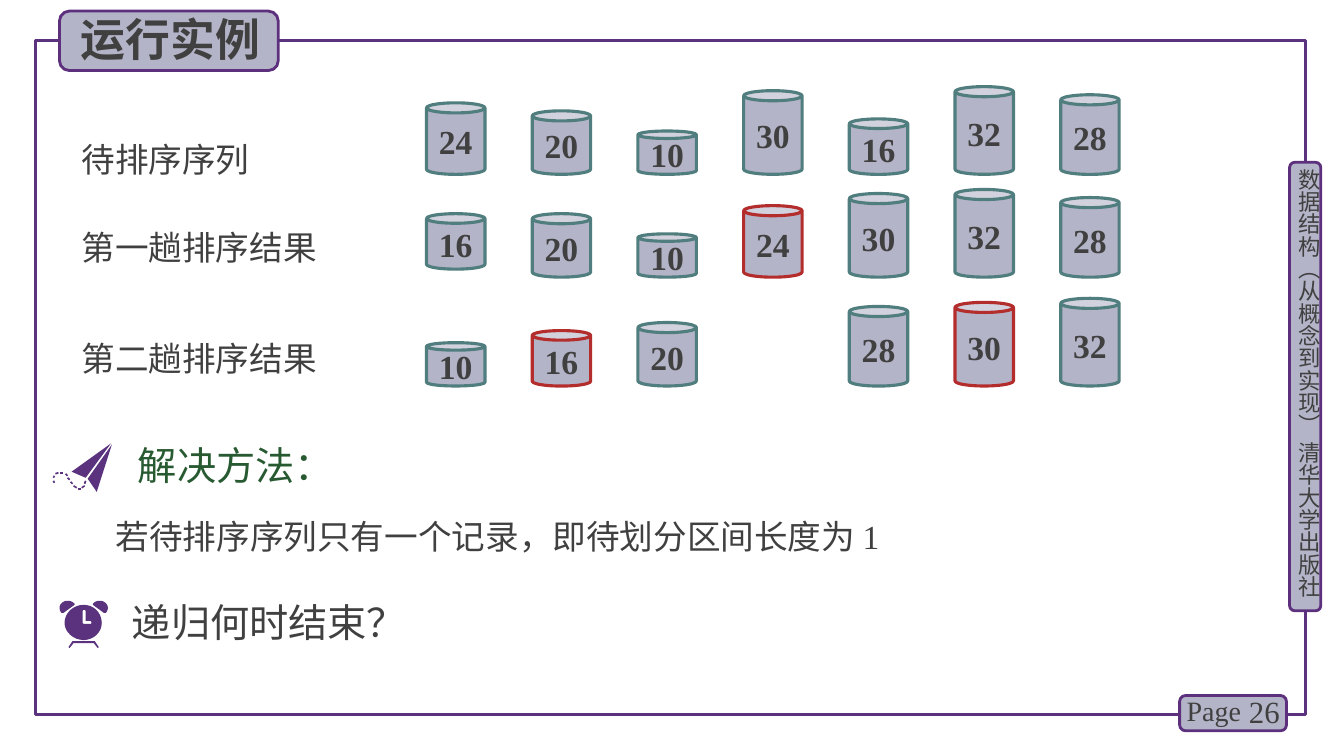
from dataclasses import dataclass
from math import hypot

from lxml.etree import SubElement
from pptx import Presentation
from pptx.dml.color import RGBColor
from pptx.enum.shapes import MSO_SHAPE
from pptx.enum.text import MSO_ANCHOR, MSO_AUTO_SIZE, PP_ALIGN
from pptx.oxml.ns import qn
from pptx.util import Inches, Pt

PURPLE = RGBColor(0x5A, 0x32, 0x7D)
BADGE_EDGE = RGBColor(0x5C, 0x30, 0x7D)
LILAC = RGBColor(0xB4, 0xB4, 0xC8)
TEAL = RGBColor(0x50, 0x7D, 0x7D)
RED = RGBColor(0xB4, 0x2D, 0x2D)
GREEN = RGBColor(0x28, 0x5A, 0x32)
GRAY = RGBColor(0x40, 0x40, 0x40)
SANS = "Noto Sans CJK SC"
SERIF = "Times New Roman"

CAN_LEFT, CAN_WIDTH = 4.23, 0.58
CAN_PITCH = (10.52 - CAN_LEFT) / 6


@dataclass(frozen=True)
class Can:
    column: int
    value: int
    pivot: bool = False
    lift: float = 0


@dataclass(frozen=True)
class SortRow:
    label: str
    label_top: float
    font: str
    base: float
    cans: tuple[Can, ...]


@dataclass(frozen=True)
class Label:
    text: str
    at: tuple[float, float, float, float]
    size: int
    font: str = SANS
    color: RGBColor = GRAY


SORT_ROWS = (
    SortRow("待排序序列", 1.33, SERIF, 1.73,
            tuple(Can(i, v) for i, v in enumerate((24, 20, 10, 30, 16, 32, 28)))),
    SortRow("第一趟排序结果", 2.2, SANS, 2.75,
            (Can(0, 16, lift=0.08), Can(1, 20), Can(2, 10), Can(3, 24, pivot=True),
             Can(4, 30), Can(5, 32), Can(6, 28))),
    SortRow("第二趟排序结果", 3.3, SANS, 3.83,
            (Can(0, 10), Can(1, 16, pivot=True), Can(2, 20),
             Can(4, 28), Can(5, 30, pivot=True), Can(6, 32))),
)
BADGES = ((12.79, 1.61, 0.31, 4.45), (11.7, 6.9, 1.06, 0.35), (0.59, 0.11, 2.17, 0.59))
LABELS = (
    Label("Page", (11.67, 6.83, 0.78, 0.44), 20, SERIF),
    Label("递归何时结束？", (1.21, 5.89, 11.07, 0.57), 28),
    Label("解决方法：", (1.27, 4.33, 2.17, 0.57), 28, color=GREEN),
)

# Outlines in inches: a pair is a corner, six numbers are a cubic curve
BELL = ((0.67, 5.96), (0.63, 5.96, 0.59, 5.99, 0.59, 6.03),
        (0.59, 6.05, 0.6, 6.07, 0.61, 6.08), (0.63, 6.08), (0.74, 6), (0.74, 5.99),
        (0.72, 5.97, 0.7, 5.96, 0.67, 5.96))
CLOCK_FACE = ((0.83, 6), (0.73, 6, 0.64, 6.08, 0.64, 6.18),
              (0.64, 6.27, 0.73, 6.35, 0.83, 6.35), (0.93, 6.35, 1.01, 6.27, 1.01, 6.18),
              (1.01, 6.08, 0.93, 6, 0.83, 6))
CLOCK_HANDS = ((0.9, 6.19), (0.83, 6.19), (0.82, 6.18), (0.82, 6.06), (0.83, 6.05),
               (0.84, 6.05), (0.85, 6.06), (0.85, 6.16), (0.9, 6.16), (0.91, 6.18))
CLOCK_STAND = ((0.68, 6.42), (0.72, 6.36), (0.94, 6.36), (0.98, 6.42),
               (0.97, 6.43), (0.93, 6.38), (0.73, 6.38), (0.69, 6.43))
PLANE_WINGS = (((1.11, 4.41), (0.96, 4.88), (0.87, 4.75)),
               ((1.1, 4.4), (0.85, 4.74), (0.71, 4.68)))
TRAIL_DASHES = (
    (0.84, 4.8, 0.85, 4.77), (0.81, 4.84, 0.84, 4.82), (0.77, 4.85, 0.8, 4.85),
    (0.73, 4.82, 0.76, 4.84), (0.7, 4.78, 0.72, 4.8), (0.67, 4.74, 0.69, 4.76),
    (0.65, 4.7, 0.67, 4.72), (0.6, 4.69, 0.63, 4.69), (0.55, 4.7, 0.58, 4.69),
    (0.53, 4.77, 0.54, 4.79), (0.53, 4.74, 0.54, 4.72),
)


def write(shape, text: str, *, size: int, font: str = SANS, color: RGBColor = GRAY,
          bold: bool = False, align=PP_ALIGN.LEFT, anchor=MSO_ANCHOR.TOP,
          wrap: bool = True, spacing=None) -> None:
    frame = shape.text_frame
    frame.auto_size = MSO_AUTO_SIZE.NONE
    frame.word_wrap = wrap
    frame.vertical_anchor = anchor
    para = frame.paragraphs[0]
    para.alignment = align
    if spacing:
        para.line_spacing = spacing
    span = para.add_run()
    span.text = text
    span.font.size = Pt(size)
    span.font.name = font
    span.font.bold = bold
    span.font.color.rgb = color
    east_asian = SubElement(span.font._element, qn("a:ea"))
    east_asian.set("typeface", SANS)


def add_text(page, text: str, at, **style):
    box = page.shapes.add_textbox(*map(Inches, at))
    write(box, text, **style)
    return box


def add_preset(page, kind, at, *, edge: RGBColor, weight: float, fill=LILAC):
    shape = page.shapes.add_shape(kind, *map(Inches, at))
    shape.shadow.inherit = False
    if fill is None:
        shape.fill.background()
    else:
        shape.fill.solid()
        shape.fill.fore_color.rgb = fill
    shape.line.color.rgb = edge
    shape.line.width = Pt(weight)
    return shape


def add_can(page, can: Can, base: float) -> None:
    height = 0.23 + 0.02 * can.value
    at = (CAN_LEFT + can.column * CAN_PITCH, base - can.lift - height, CAN_WIDTH, height)
    shape = add_preset(page, MSO_SHAPE.CAN, at, edge=RED if can.pivot else TEAL, weight=2.25)
    shape.adjustments[0] = 0.173
    write(shape, str(can.value), size=24, font=SERIF, bold=True,
          align=PP_ALIGN.CENTER, anchor=MSO_ANCHOR.MIDDLE, wrap=False)


def trace(outline, steps: int = 8) -> list[tuple[float, float]]:
    """Turn corners and curves into points in thousandths of an inch."""
    points = []
    for part in outline:
        if len(part) == 2:
            points.append(part)
            continue
        x0, y0 = points[-1]
        x1, y1, x2, y2, x3, y3 = part
        for step in range(1, steps + 1):
            t = step / steps
            a, b, c, d = (1 - t) ** 3, 3 * t * (1 - t) ** 2, 3 * t * t * (1 - t), t ** 3
            points.append((a * x0 + b * x1 + c * x2 + d * x3,
                           a * y0 + b * y1 + c * y2 + d * y3))
    return [(x * 1000, y * 1000) for x, y in points]


def add_outline(page, *outlines) -> None:
    first, *holes = map(trace, outlines)
    builder = page.shapes.build_freeform(*first[0], scale=Inches(1) / 1000)
    builder.add_line_segments(first[1:], close=True)
    for hole in holes:
        builder.move_to(*hole[0])
        builder.add_line_segments(hole[1:], close=True)
    shape = builder.convert_to_shape()
    shape.shadow.inherit = False
    shape.fill.solid()
    shape.fill.fore_color.rgb = PURPLE
    shape.line.fill.background()


def add_dash(page, x1: float, y1: float, x2: float, y2: float) -> None:
    length = hypot(x2 - x1, y2 - y1)
    dx, dy = 0.008 * (y1 - y2) / length, 0.008 * (x2 - x1) / length
    add_outline(page, ((x1 + dx, y1 + dy), (x2 + dx, y2 + dy),
                       (x2 - dx, y2 - dy), (x1 - dx, y1 - dy)))


def main() -> None:
    deck = Presentation()
    deck.slide_width, deck.slide_height = Inches(13.33), Inches(7.5)
    page = deck.slides.add_slide(deck.slide_layouts[5])

    # Frame and badges
    add_preset(page, MSO_SHAPE.RECTANGLE, (0.35, 0.4, 12.6, 6.69),
               edge=PURPLE, weight=2.25, fill=None)
    for at in BADGES:
        add_preset(page, MSO_SHAPE.ROUNDED_RECTANGLE, at, edge=BADGE_EDGE, weight=2)

    # Title, brought in front of its badge
    title = page.shapes.title
    title.left, title.top, title.width, title.height = map(Inches, (0.7, 0.07, 2.12, 0.64))
    write(title, "运行实例", size=32, bold=True)
    title.element.getparent().append(title.element)

    # Side text and page number
    side = add_text(page, "数据结构（从概念到实现） 清华大学出版社", (12.85, 1.67, 0.27, 4.49), size=16)
    frame = side.text_frame
    frame.margin_left = frame.margin_right = frame.margin_top = frame.margin_bottom = 0
    frame._txBody.bodyPr.set("vert", "eaVert")
    add_text(page, "26", (12.2, 6.86, 0.59, 0.4), size=22, font=SERIF,
             align=PP_ALIGN.RIGHT, anchor=MSO_ANCHOR.MIDDLE)

    # Sorting passes
    for row in SORT_ROWS:
        add_text(page, row.label, (0.71, row.label_top, 2.75, 0.5), size=24, font=row.font)
        for can in row.cans:
            add_can(page, can, row.base)

    # Headings and answer
    for label in LABELS:
        add_text(page, label.text, label.at, size=label.size, font=label.font, color=label.color)
    add_text(page, "若待排序序列只有一个记录，即待划分区间长度为 1", (1.05, 4.98, 8.14, 0.5),
             size=24, font=SERIF, spacing=Pt(35))

    # Alarm clock
    mirrored_bell = [tuple(1.66 - n if i % 2 == 0 else n for i, n in enumerate(part))
                     for part in BELL]
    for outline in (CLOCK_STAND, BELL, mirrored_bell):
        add_outline(page, outline)
    add_outline(page, CLOCK_FACE, CLOCK_HANDS)

    # Paper plane and its dashed trail
    for wing in PLANE_WINGS:
        add_outline(page, wing)
    for dash in TRAIL_DASHES:
        add_dash(page, *dash)

    deck.save("out.pptx")


if __name__ == "__main__":
    main()
